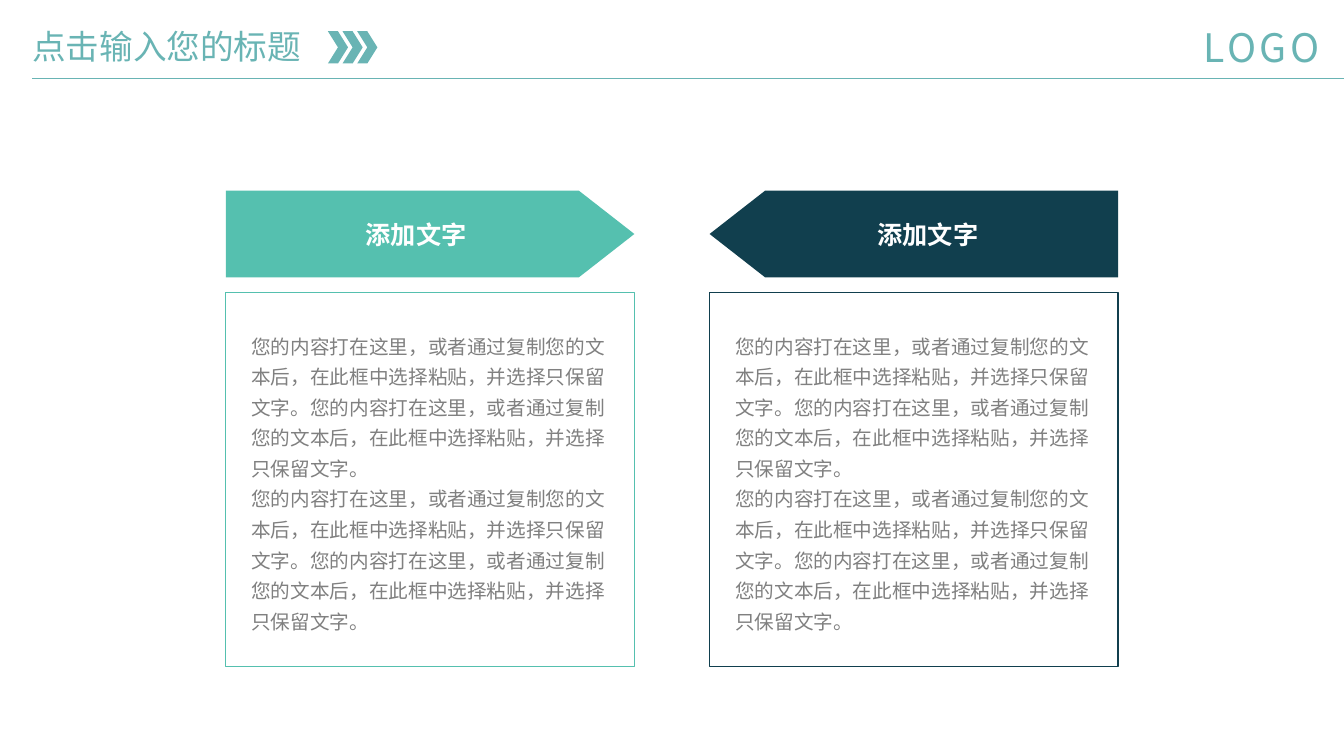
from dataclasses import dataclass

from lxml import etree
from pptx import Presentation
from pptx.dml.color import RGBColor
from pptx.enum.shapes import MSO_CONNECTOR, MSO_SHAPE
from pptx.enum.text import MSO_ANCHOR, MSO_AUTO_SIZE, PP_ALIGN
from pptx.oxml.ns import qn
from pptx.shapes.autoshape import Shape
from pptx.shapes.shapetree import SlideShapes
from pptx.text.text import TextFrame
from pptx.util import Emu, Inches, Pt

RECT = MSO_SHAPE.RECTANGLE
TAG = MSO_SHAPE.PENTAGON
CHEVRON = MSO_SHAPE.CHEVRON
STRAIGHT = MSO_CONNECTOR.STRAIGHT
TOP, MIDDLE = MSO_ANCHOR.TOP, MSO_ANCHOR.MIDDLE
LEFT, CENTER = PP_ALIGN.LEFT, PP_ALIGN.CENTER
FIXED = MSO_AUTO_SIZE.NONE

WIDTH, HEIGHT = Inches(13.33), Inches(7.5)
FONT = "Noto Sans CJK SC"
COLORS = {
    "head": "69B4B4",
    "mint": "55C0AF",
    "navy": "113F4E",
    "gray": "808080",
    "white": "FFFFFF",
}
CLAUSE = "您的内容打在这里，或者通过复制您的文本后，在此框中选择粘贴，并选择只保留文字。"
BODY = "\n".join([CLAUSE * 2] * 2)


@dataclass
class Box:
    x: float
    y: float
    w: float
    h: float

    def place(self) -> tuple[Emu, Emu, Emu, Emu]:
        return across(self.x), down(self.y), across(self.w), down(self.h)


@dataclass
class Style:
    size: float
    color: str
    bold: bool = False
    align: PP_ALIGN = LEFT
    gap: float = 1.0
    track: int = 0


@dataclass
class Card:
    x: float
    color: str
    flip: bool


CARDS = [Card(16.8, "mint", False), Card(52.8, "navy", True)]


def across(share: float) -> Emu:
    return Emu(round(WIDTH * share / 100))


def down(share: float) -> Emu:
    return Emu(round(HEIGHT * share / 100))


def rgb(name: str) -> RGBColor:
    return RGBColor.from_string(COLORS[name])


def write(frame: TextFrame, text: str, style: Style, wrap: bool = True) -> None:
    frame.text = text
    frame.word_wrap = wrap
    frame.auto_size = FIXED
    for para in frame.paragraphs:
        para.alignment = style.align
        para.line_spacing = style.gap
        for run in para.runs:
            font = run.font
            font.size = Pt(style.size)
            font.bold = style.bold
            font.color.rgb = rgb(style.color)
            font.name = FONT
            props = run._r.get_or_add_rPr()
            etree.SubElement(props, qn("a:ea")).set("typeface", FONT)
            if style.track:
                props.set("spc", str(style.track))


def inset(frame: TextFrame, side: float, edge: float) -> None:
    frame.margin_left = frame.margin_right = Inches(side)
    frame.margin_top = frame.margin_bottom = Inches(edge)


def label(shapes: SlideShapes, box: Box, text: str, style: Style,
          wrap: bool = True) -> TextFrame:
    frame = shapes.add_textbox(*box.place()).text_frame
    write(frame, text, style, wrap)
    return frame


def block(shapes: SlideShapes, kind: MSO_SHAPE, box: Box, color: str) -> Shape:
    shape = shapes.add_shape(kind, *box.place())
    shape.shadow.inherit = False
    shape.fill.solid()
    shape.fill.fore_color.rgb = rgb(color)
    shape.line.fill.background()
    return shape


def header(shapes: SlideShapes) -> None:
    rule = shapes.add_connector(
        STRAIGHT, across(2.4), down(10.3), WIDTH, down(10.3))
    rule.line.color.rgb = rgb("head")
    rule.line.width = Pt(0.5)
    etree.SubElement(rule._element.spPr, qn("a:effectLst"))

    title = shapes.title
    title.left, title.top, title.width, title.height = Box(
        2.4, 3.47, 21.1, 5.33).place()
    write(title.text_frame, "点击输入您的标题", Style(24, "head"))
    title.text_frame.vertical_anchor = TOP
    inset(title.text_frame, 0, 0)

    group = shapes.add_group_shape()
    for step in range(3):
        block(group.shapes, CHEVRON,
              Box(24.4 + 1.09 * step, 4.13, 1.5, 4.27), "head")

    logo = label(shapes, Box(88.97, 2.53, 10.65, 7.33), "LOGO",
                 Style(28, "head", track=250), wrap=False)
    inset(logo, 0.08, 0.04)


def draw(shapes: SlideShapes, card: Card) -> None:
    panel = block(shapes, RECT, Box(card.x, 38.67, 30.4, 49.47), card.color)
    panel.fill.background()
    panel.line.color.rgb = rgb(card.color)
    panel.line.width = Pt(1)

    tag = block(shapes, TAG, Box(card.x, 25.2, 30.4, 11.5), card.color)
    tag.adjustments[0] = 0.64
    if card.flip:
        tag._element.spPr.find(qn("a:xfrm")).set("flipH", "1")
    write(tag.text_frame, "添加文字",
          Style(18, "white", bold=True, align=CENTER), wrap=False)
    tag.text_frame.vertical_anchor = MIDDLE

    label(shapes, Box(card.x + 1.16, 42.67, 29.2, 41.73), BODY,
          Style(14, "gray", gap=1.3))


def main() -> None:
    deck = Presentation()
    deck.slide_width, deck.slide_height = WIDTH, HEIGHT
    slide = deck.slides.add_slide(deck.slide_layouts.get_by_name("Title Only"))
    header(slide.shapes)
    for card in CARDS:
        draw(slide.shapes, card)
    deck.save("out.pptx")


if __name__ == "__main__":
    main()
